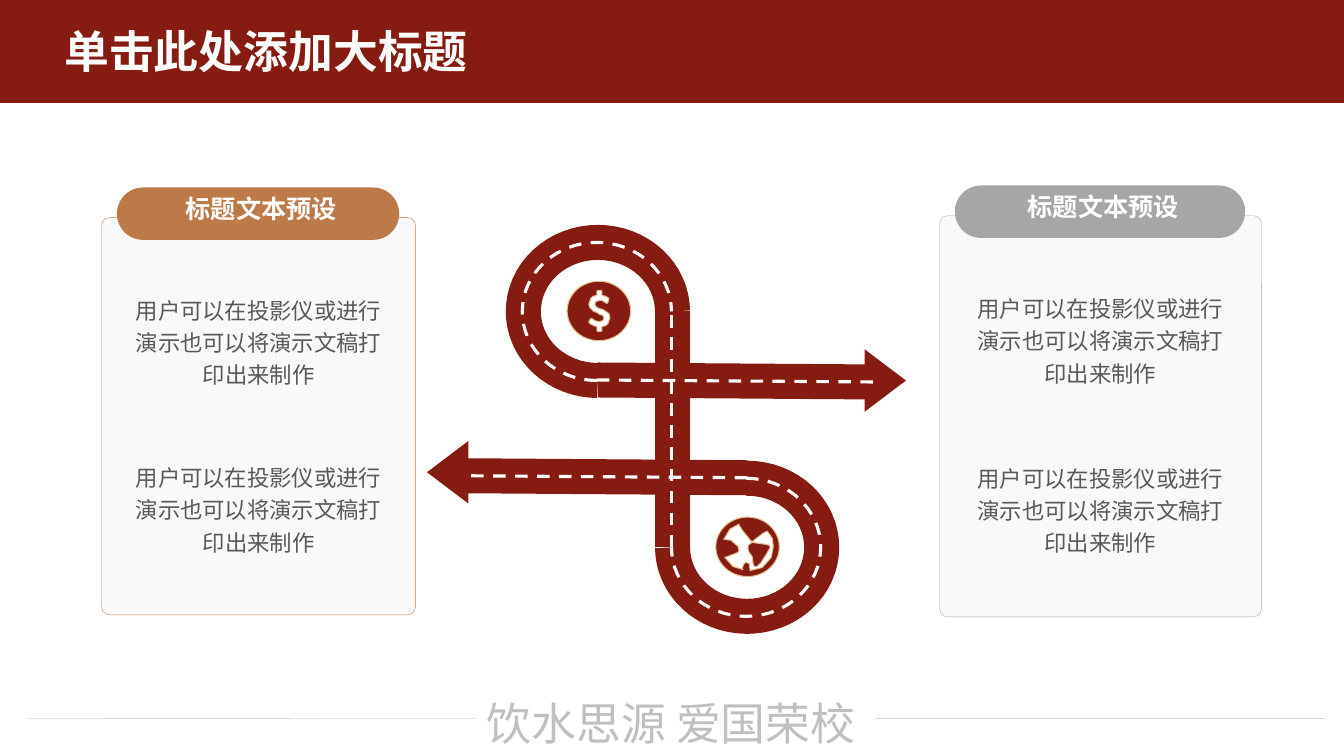
from math import cos, pi, sin

from lxml.etree import SubElement
from pptx import Presentation
from pptx.dml.color import RGBColor
from pptx.enum.dml import MSO_LINE
from pptx.enum.shapes import MSO_CONNECTOR, MSO_SHAPE
from pptx.enum.text import PP_ALIGN
from pptx.oxml.ns import qn
from pptx.util import Inches, Pt

COLORS = {
    "red": "861B11", "bronze": "BE7949", "grey": "A6A6A6", "panel": "F2F2F2",
    "rule": "D9D9D9", "motto": "BFBFBF", "body": "595959", "gold": "E4C091",
    "white": "FFFFFF",
}
PALETTE = {name: RGBColor.from_string(value) for name, value in COLORS.items()}
COLUMNS, ROWS = 13.33, 7.5

deck = Presentation()
deck.slide_width, deck.slide_height = Inches(COLUMNS), Inches(ROWS)
page = deck.slides.add_slide(deck.slide_layouts[6])
shapes = page.shapes
column, row = deck.slide_width / COLUMNS, deck.slide_height / ROWS


def draw(kind, frame, fill=None, line=None, weight=0.75):
    if kind == "line":
        x1, y1, x2, y2 = frame
        shape = shapes.add_connector(
            MSO_CONNECTOR.STRAIGHT, *(round(n * column) for n in (x1, y1, x2, y2)))
        SubElement(shape._element.spPr, qn("a:effectLst"))
    elif kind in ("open", "closed"):
        contours = [[(round(x * column), round(y * row)) for x, y in contour] for contour in frame]
        builder = shapes.build_freeform(*contours[0][0], scale=1.0)
        for index, contour in enumerate(contours):
            if index:
                builder.move_to(*contour[0])
            builder.add_line_segments(contour[1:], close=kind == "closed")
        shape = builder.convert_to_shape()
    else:
        shape = shapes.add_shape(kind, *(round(n * column) for n in frame))
    if kind != "line":
        shape.shadow.inherit = False
        if fill:
            shape.fill.solid()
            shape.fill.fore_color.rgb = PALETTE[fill]
        else:
            shape.fill.background()
    if line:
        shape.line.color.rgb = PALETTE[line]
        shape.line.width = Pt(weight)
    else:
        shape.line.fill.background()
    return shape


def write(frame, text, font, frame_format=None, para_format=None):
    box = shapes.add_textbox(*(round(n * column) for n in frame))
    for name, value in {"word_wrap": True, **(frame_format or {})}.items():
        setattr(box.text_frame, name, value)
    para = box.text_frame.paragraphs[0]
    for name, value in (para_format or {}).items():
        setattr(para, name, value)
    span = para.add_run()
    span.text = text
    for name, value in font.items():
        if name == "color":
            span.font.color.rgb = PALETTE[value]
        else:
            setattr(span.font, name, value)
    return box


draw(MSO_SHAPE.RECTANGLE, (0, 0, COLUMNS, 1.02), "red")
write((0.54, 0.19, 10.26, 0.64), "单击此处添加大标题",
      {"size": Pt(32), "name": "Roboto", "bold": True, "color": "white"})

motto = write((4.73, 6.75, 3.87, 0.75), "饮水思源 爱国荣校",
              {"size": Pt(32), "name": "Noto Sans CJK SC", "color": "motto"},
              para_format={"alignment": PP_ALIGN.JUSTIFY, "line_spacing": 1.2})
left_rule = draw("line", (0.28, 7.13, 4.73, 7.13), line="rule", weight=0.5)
left_rule.end_connect(motto, 1)
draw("line", (8.69, 7.13, 13.14, 7.13), line="rule", weight=0.5)

for left, top, turn in ((4.13, 4.48, 270), (8.47, 3.57, 90)):
    arrowhead = draw(MSO_SHAPE.ISOSCELES_TRIANGLE, (left, top, 0.62, 0.41), "red")
    arrowhead.rotation = turn

STEPS = 48
LOOPS = ((5.93, 3.09, 0.5), (7.41, 5.43, 1.5))
LANES = ((5.93, 3.77, 8.73, 3.79), (7.42, 4.74, 4.62, 4.72), (6.67, 5.43, 6.67, 3.09))
for color, weight, dash, shift in (("red", 25, None, 0), ("white", 2.25, MSO_LINE.DASH, -0.01)):
    road = [draw("line", (x1 + shift, y1, x2 + shift, y2), line=color, weight=weight)
            for x1, y1, x2, y2 in LANES]
    for x, y, start in LOOPS:
        angles = [(start + 1.5 * step / STEPS) * pi for step in range(STEPS + 1)]
        bend = [(x + shift + 0.74 * cos(angle), y + 0.685 * sin(angle)) for angle in angles]
        road.append(draw("open", [bend], line=color, weight=weight))
    for part in road:
        part.line.dash_style = dash

DOLLAR = [
    (6.03, 3.21), (6.01, 3.23), (5.97, 3.24), (5.97, 3.28), (5.96, 3.29), (5.93, 3.29),
    (5.92, 3.28), (5.92, 3.24), (5.89, 3.23), (5.87, 3.22), (5.85, 3.21), (5.84, 3.19),
    (5.86, 3.16), (5.87, 3.16), (5.90, 3.18), (5.93, 3.19), (5.95, 3.19), (5.98, 3.18),
    (5.99, 3.15), (5.98, 3.13), (5.95, 3.12), (5.92, 3.1), (5.89, 3.09), (5.87, 3.07),
    (5.85, 3.05), (5.84, 3.02), (5.86, 2.96), (5.88, 2.94), (5.92, 2.93), (5.92, 2.89),
    (5.93, 2.88), (5.96, 2.88), (5.97, 2.89), (5.97, 2.93), (6.01, 2.94), (6.04, 2.96),
    (6.03, 3), (6.02, 3.01), (6, 3), (5.97, 2.98), (5.95, 2.98), (5.91, 2.99), (5.9, 3.02),
    (5.91, 3.04), (5.94, 3.06), (5.98, 3.07), (6.01, 3.09), (6.04, 3.11), (6.05, 3.15),
]
EAST_LAND = [
    (7.59, 5.4), (7.52, 5.39), (7.46, 5.38), (7.42, 5.41), (7.42, 5.45), (7.43, 5.48),
    (7.46, 5.52), (7.47, 5.59), (7.48, 5.62), (7.51, 5.62), (7.55, 5.58), (7.6, 5.5),
    (7.64, 5.43), (7.63, 5.41),
]
OCEAN = [
    (7.44, 5.66), (7.44, 5.65), (7.43, 5.59), (7.4, 5.58), (7.38, 5.59), (7.36, 5.64),
    (7.37, 5.65), (7.27, 5.62), (7.19, 5.53), (7.22, 5.52), (7.32, 5.48), (7.33, 5.46),
    (7.32, 5.42), (7.25, 5.36), (7.18, 5.35), (7.24, 5.25), (7.33, 5.2), (7.33, 5.21),
    (7.37, 5.27), (7.42, 5.33), (7.45, 5.37), (7.47, 5.37), (7.49, 5.35), (7.57, 5.29),
    (7.61, 5.27), (7.66, 5.34), (7.67, 5.42), (7.65, 5.53), (7.56, 5.63),
]
for x, y, details in ((5.94, 3.085, [DOLLAR]), (7.415, 5.425, [OCEAN, EAST_LAND])):
    angles = [2 * pi * step / STEPS for step in range(STEPS)]
    disc = [(x + 0.315 * cos(angle), y + 0.295 * sin(angle)) for angle in angles]
    draw("closed", [disc, *details], "red", "gold")

for left, top, width, height, accent in (
        (1.01, 2.16, 3.11, 3.94, "bronze"), (9.32, 2.14, 3.19, 3.98, "grey")):
    panel = draw(MSO_SHAPE.ROUNDED_RECTANGLE, (left, top, width, height), "panel", accent, 0.25)
    panel.adjustments[0] = 0.024
    panel_color = panel._element.spPr.find(qn("a:solidFill"))[0]
    SubElement(panel_color, qn("a:alpha")).set("val", "40000")
    badge = draw(MSO_SHAPE.ROUNDED_RECTANGLE, (left + 0.15, top - 0.3, width - 0.31, 0.52), accent)
    badge.adjustments[0] = 0.5
    write((left + 0.49, top - 0.24, width - 0.87, 0.4), "标题文本预设 ",
          {"size": Pt(18), "name": "Arial", "bold": True, "color": "white"},
          {"word_wrap": False, "margin_left": 0, "margin_right": 0,
           "margin_top": 0, "margin_bottom": 0},
          {"alignment": PP_ALIGN.CENTER})
    for share in (0.173, 0.595):
        write((left + 0.23, top + share * height, width - 0.46, 1.07),
              "用户可以在投影仪或进行演示也可以将演示文稿打印出来制作",
              {"size": Pt(16), "name": "Arial", "color": "body"},
              para_format={"alignment": PP_ALIGN.CENTER, "line_spacing": 1.2})

deck.save("out.pptx")
